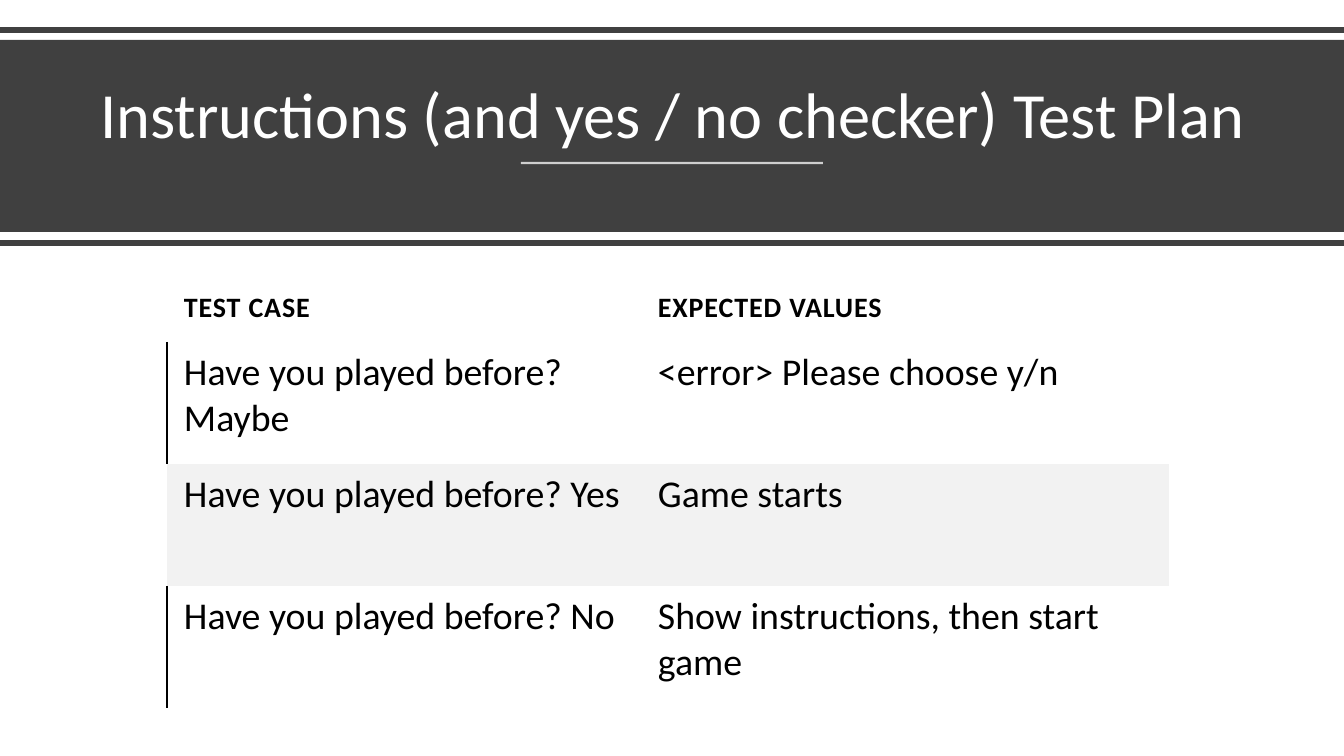
from pptx import Presentation
from pptx import util as u
from pptx.dml.color import RGBColor
from pptx.enum import shapes, text
from pptx.oxml import parse_xml
from pptx.oxml.ns import nsdecls, qn
from lxml import etree

CHARCOAL = RGBColor(0x40, 0x40, 0x40)
WHITE = RGBColor(0xFF, 0xFF, 0xFF)
BLACK = RGBColor(0, 0, 0)
BAND_GREY = RGBColor(0xF2, 0xF2, 0xF2)
NO_GRID_STYLE = "{2D5ABB26-0587-4C30-8999-92F81FD0307C}"


def px(length):
    return round(length * 914400 / 100.8)


def write(frame, words, size, color, bold=False, align=text.PP_ALIGN.LEFT, line_spacing=1.0, tracking=0):
    para = frame.paragraphs[0]
    para.alignment = align
    para.line_spacing = line_spacing
    span = para.add_run()
    span.text = words
    span.font.name = "Calibri"
    span.font.size = u.Pt(size)
    span.font.bold = bold
    span.font.color.rgb = color
    if tracking:
        span.font._element.set("spc", str(tracking))


deck = Presentation()
deck.slide_width, deck.slide_height = px(1344), px(756)
page = deck.slides.add_slide(deck.slide_layouts[5])

banner = page.shapes.add_shape(shapes.MSO_SHAPE.RECTANGLE, 0, px(40), px(1344), px(192))
banner.shadow.inherit = False
banner.fill.solid()
banner.fill.fore_color.rgb = CHARCOAL
banner.line.fill.background()

title = page.shapes.title
title.left, title.top, title.width, title.height = px(58), px(54), px(1228), px(103)
title.text_frame.word_wrap = True
title.text_frame.auto_size = text.MSO_AUTO_SIZE.NONE
title.text_frame.vertical_anchor = text.MSO_ANCHOR.BOTTOM
write(title.text_frame, "Instructions (and yes / no checker) Test Plan", 46, WHITE,
      align=text.PP_ALIGN.CENTER, line_spacing=0.9)
banner._element.addnext(title._element)

for left, right, y, color, weight, opacity in [
    (0, 1344, 30, CHARCOAL, 4, 100),
    (521, 823, 163, WHITE, 1.5, 75),
    (0, 1344, 243, CHARCOAL, 4, 100),
]:
    rule = page.shapes.add_connector(shapes.MSO_CONNECTOR.STRAIGHT, px(left), px(y), px(right), px(y))
    rule.line.color.rgb = color
    rule.line.width = u.Pt(weight)
    if opacity < 100:
        tint = rule._element.spPr.find(".//" + qn("a:srgbClr"))
        etree.SubElement(tint, qn("a:alpha")).set("val", str(opacity * 1000))
    etree.SubElement(rule._element.spPr, qn("a:effectLst"))

rows = [
    ("TEST CASE", "EXPECTED VALUES"),
    ("Have you played before? Maybe", "<error> Please choose y/n"),
    ("Have you played before? Yes", "Game starts"),
    ("Have you played before? No", "Show instructions, then start game"),
]
frame = page.shapes.add_table(len(rows), 2, px(167), px(267), px(1002), px(441))
table = frame.table
table.horz_banding = False
table._tbl.tblPr.find(qn("a:tableStyleId")).text = NO_GRID_STYLE
for column, width in zip(table.columns, (474, 528)):
    column.width = px(width)

for r, row in enumerate(rows):
    header = r == 0
    shaded = r == 2
    table.rows[r].height = px(75 if header else 122)
    for c, words in enumerate(row):
        cell = table.cell(r, c)
        cell.margin_left = cell.margin_right = cell.margin_bottom = px(17)
        cell.margin_top = px(17 if header else 8)
        cell.vertical_anchor = text.MSO_ANCHOR.BOTTOM if header else text.MSO_ANCHOR.TOP
        if shaded:
            cell.fill.solid()
            cell.fill.fore_color.rgb = BAND_GREY
        else:
            cell.fill.background()
        write(cell.text_frame, words, 20 if header else 27, BLACK, bold=header,
              tracking=60 if header else 0)
        if c == 0 and not header and not shaded:
            cell._tc.get_or_add_tcPr().insert(0, parse_xml(
                f'<a:lnL {nsdecls("a")} w="{u.Pt(1)}"><a:solidFill>'
                f'<a:srgbClr val="{BLACK}"/></a:solidFill></a:lnL>'))

deck.save("out.pptx")
